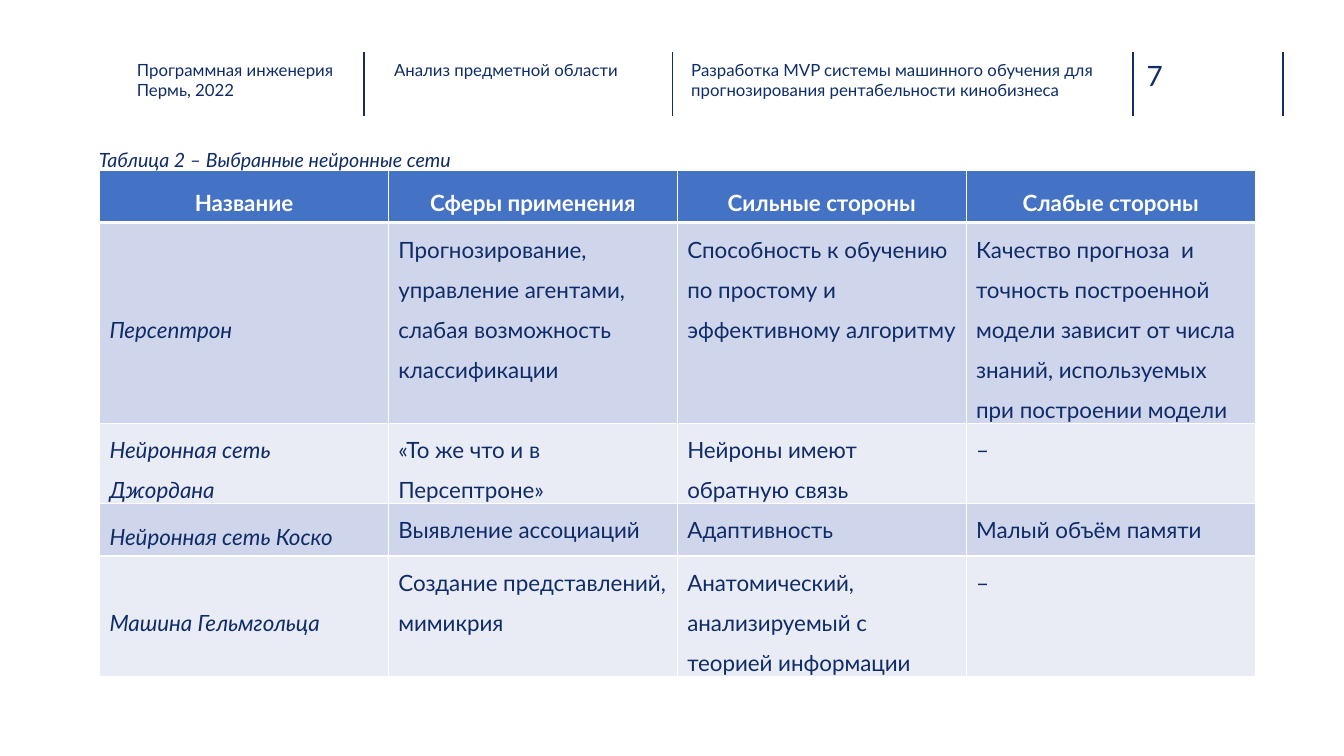
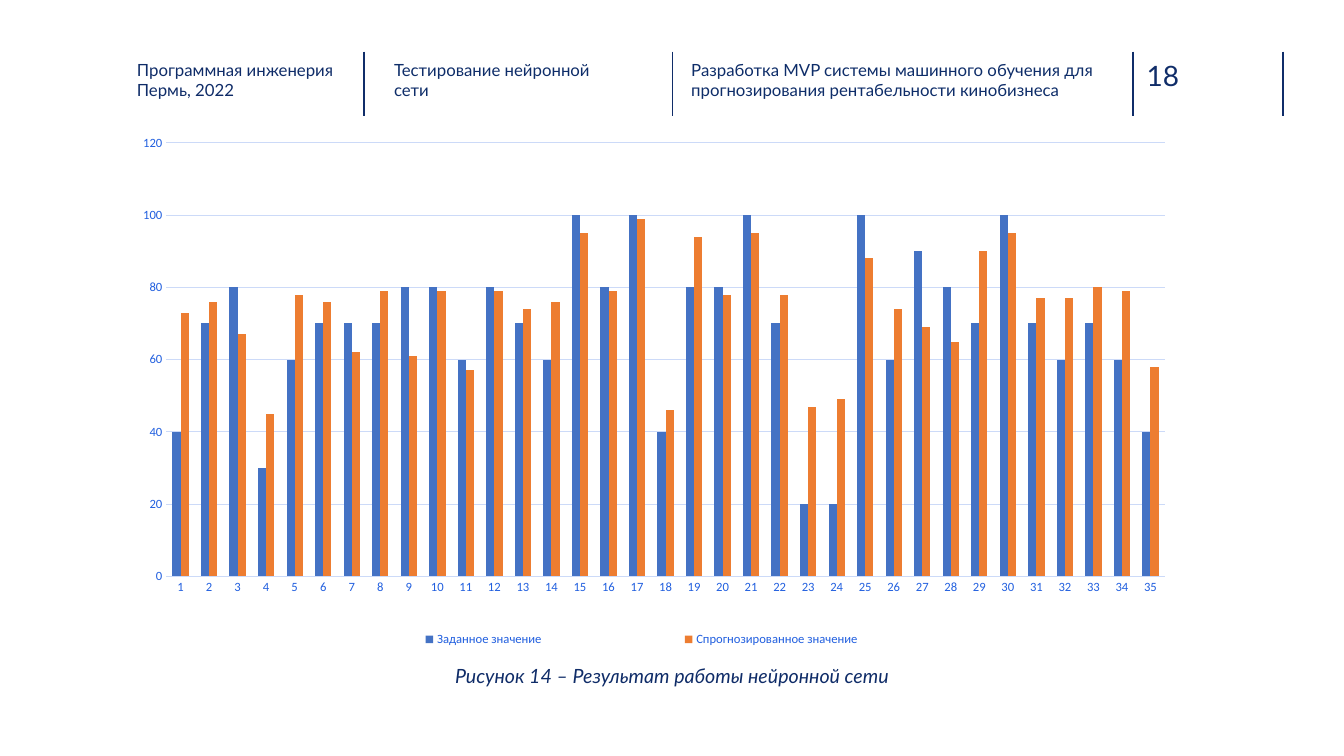
from dataclasses import dataclass

from lxml import etree
from pptx import Presentation
from pptx import util as u
from pptx.chart.data import CategoryChartData
from pptx.dml.color import RGBColor
from pptx.enum import chart as ch
from pptx.enum import shapes, text
from pptx.oxml import ns

Cm, Pt = u.Cm, u.Pt


@dataclass(frozen=True)
class Theme:
    ink: str = "0F2C68"
    heading: str = "0E2D69"
    rule: str = "102D69"
    white: str = "FFFFFF"
    table_head: str = "4472C4"
    bands: tuple = ("CFD5EA", "E9EBF5")
    series: tuple = ("4472C4", "ED7D31")
    axis: str = "215FDF"
    grid: str = "CCDAF8"
    font: str = "Lato"
    chart_font: str = "Calibri"
    header_size: int = 12
    number_size: int = 20
    caption_size: int = 14
    table_size: int = 16
    axis_size: int = 9


PROGRAMME = ["Программная инженерия", "Пермь, 2022"]
PROJECT = ["Разработка MVP системы машинного обучения для "
           "прогнозирования рентабельности кинобизнеса"]
HEADER_RULES = (9.17, 16.94, 28.55, 32.33)


def box(left, top, width, height):
    return Cm(left), Cm(top), Cm(width), Cm(height)


def set_layout(parent, index, x, y, w, h, inner=False):
    """Fix the place of a chart part as fractions of the chart."""
    for old in parent.findall(ns.qn("c:layout")):
        parent.remove(old)
    layout = etree.Element(ns.qn("c:layout"))
    manual = etree.SubElement(layout, ns.qn("c:manualLayout"))
    entries = [("layoutTarget", "inner")] if inner else []
    entries += [("xMode", "edge"), ("yMode", "edge"),
                ("x", x), ("y", y), ("w", w), ("h", h)]
    for tag, value in entries:
        etree.SubElement(manual, ns.qn(f"c:{tag}")).set("val", str(value))
    parent.insert(index, layout)


class Deck:
    """Holds the style and the current slide."""

    def __init__(self, theme):
        self.theme = theme
        self.prs = Presentation()
        self.prs.slide_width, self.prs.slide_height = Cm(33.87), Cm(19.05)
        self.slide = None

    # Text
    def style(self, font, size, color, name=None):
        font.name = name or self.theme.font
        font.size = Pt(size)
        font.color.rgb = RGBColor.from_string(color)

    def add_run(self, paragraph, words, size, color, bold=False, italic=False):
        run = paragraph.add_run()
        run.text = words
        self.style(run.font, size, color)
        run.font.bold, run.font.italic = bold, italic

    def frame(self, shape, margins=True):
        frame = shape.text_frame
        frame.word_wrap = True
        frame.auto_size = text.MSO_AUTO_SIZE.NONE
        frame.vertical_anchor = text.MSO_ANCHOR.TOP
        if not margins:
            frame.margin_left = frame.margin_right = 0
            frame.margin_top = frame.margin_bottom = 0
        return frame

    # Header band
    def header_text(self, index, place, lines, color):
        holder = self.slide.placeholders[index]
        holder.left, holder.top, holder.width, holder.height = box(*place)
        frame = self.frame(holder, margins=False)
        for i, line in enumerate(lines):
            paragraph = frame.add_paragraph() if i else frame.paragraphs[0]
            props = paragraph._p.get_or_add_pPr()
            props.set("marL", "0")
            props.set("indent", "0")
            etree.SubElement(props, ns.qn("a:buNone"))
            paragraph.alignment = text.PP_ALIGN.LEFT
            paragraph.space_before = Pt(0)
            self.add_run(paragraph, line, self.theme.header_size, color)

    def header_rule(self, x):
        rule = self.slide.shapes.add_connector(
            shapes.MSO_CONNECTOR.STRAIGHT, Cm(x), Cm(1.3), Cm(x), Cm(2.92))
        rule.line.color.rgb = RGBColor.from_string(self.theme.rule)
        rule.line.width = Pt(1)
        etree.SubElement(rule._element.spPr, ns.qn("a:effectLst"))

    def new_slide(self, section, number):
        t = self.theme
        two_content = self.prs.slide_layouts[3]
        self.slide = self.prs.slides.add_slide(two_content)
        for x in HEADER_RULES:
            self.header_rule(x)
        self.header_text(0, (9.93, 1.5, 5.74, 1.14), [section], t.heading)
        self.header_text(1, (3.45, 1.5, 5.1, 1.14), PROGRAMME, t.ink)
        self.header_text(2, (17.42, 1.5, 10.62, 1.14), PROJECT, t.heading)
        page = self.slide.shapes.add_textbox(*box(28.9, 1.47, 1.85, 0.86))
        self.add_run(self.frame(page, margins=False).paragraphs[0],
                     number, t.number_size, t.rule)

    def caption(self, place, words, align=text.PP_ALIGN.LEFT):
        label = self.slide.shapes.add_textbox(*box(*place))
        paragraph = self.frame(label).paragraphs[0]
        paragraph.alignment = align
        self.add_run(paragraph, words, self.theme.caption_size,
                     self.theme.ink, italic=True)

    # Table
    def cell_borders(self, cell, bottom):
        props = cell._tc.get_or_add_tcPr()
        for i, (side, width) in enumerate(
                (("lnL", 1), ("lnR", 1), ("lnT", 1), ("lnB", bottom))):
            line = etree.Element(ns.qn(f"a:{side}"), w=str(Pt(width)))
            fill = etree.SubElement(line, ns.qn("a:solidFill"))
            etree.SubElement(fill, ns.qn("a:srgbClr"), val=self.theme.white)
            props.insert(i, line)

    def cell(self, cell, words, row, column):
        t = self.theme
        head, label = row == 0, row == 0 or column == 0
        cell.margin_left = cell.margin_right = Cm(0.25)
        cell.margin_top = cell.margin_bottom = 0
        cell.vertical_anchor = (text.MSO_ANCHOR.MIDDLE if label
                                else text.MSO_ANCHOR.TOP)
        cell.fill.solid()
        cell.fill.fore_color.rgb = RGBColor.from_string(
            t.table_head if head else t.bands[(row - 1) % 2])
        self.cell_borders(cell, bottom=3 if head else 1)
        paragraph = cell.text_frame.paragraphs[0]
        paragraph.line_spacing = 1.5
        if label:
            paragraph.space_before, paragraph.space_after = Pt(4), Pt(2)
        if head:
            paragraph.alignment = text.PP_ALIGN.CENTER
        self.add_run(paragraph, words, t.table_size,
                     t.white if head else t.ink,
                     bold=head, italic=label and not head)

    def table(self, left, top, column_width, heights, rows):
        count = len(rows[0])
        table = self.slide.shapes.add_table(
            len(rows), count,
            *box(left, top, column_width * count, sum(heights))).table
        for column in table.columns:
            column.width = Cm(column_width)
        for r, (height, row) in enumerate(zip(heights, rows)):
            table.rows[r].height = Cm(height)
            for c, words in enumerate(row):
                self.cell(table.cell(r, c), words, r, c)

    # Chart
    def column_chart(self, place, series):
        t = self.theme
        data = CategoryChartData()
        longest = max(len(values) for values in series.values())
        data.categories = [str(n + 1) for n in range(longest)]
        for name, values in series.items():
            data.add_series(name, values)
        chart = self.slide.shapes.add_chart(
            ch.XL_CHART_TYPE.COLUMN_CLUSTERED, *box(*place), data).chart
        chart.has_title = False
        self.style(chart.font, 10, t.ink, t.chart_font)

        plot = chart.plots[0]
        plot.vary_by_categories = False
        plot.gap_width, plot.overlap = 150, 0
        for bars, color in zip(plot.series, t.series):
            bars.format.fill.solid()
            bars.format.fill.fore_color.rgb = RGBColor.from_string(color)

        for axis in (chart.category_axis, chart.value_axis):
            axis.major_tick_mark = ch.XL_TICK_MARK.NONE
            axis.minor_tick_mark = ch.XL_TICK_MARK.NONE
            axis.format.line.fill.background()
            self.style(axis.tick_labels.font, t.axis_size, t.axis, t.chart_font)
        scale = chart.value_axis
        scale.minimum_scale, scale.maximum_scale, scale.major_unit = 0, 120, 20
        scale.has_major_gridlines = True
        grid = scale.major_gridlines.format.line
        grid.color.rgb = RGBColor.from_string(t.grid)
        grid.width = Pt(0.75)

        chart.has_legend = True
        legend = chart.legend
        legend.position = ch.XL_LEGEND_POSITION.BOTTOM
        legend.include_in_layout = False
        self.style(legend.font, t.axis_size, t.axis, t.chart_font)
        set_layout(legend._element, 1, 0.17, 0.92, 0.65, 0.07)
        set_layout(chart._chartSpace.chart.plotArea, 0,
                   0.06, 0.015, 0.914, 0.821, inner=True)


NETWORKS = [
    ["Название", "Сферы применения", "Сильные стороны", "Слабые стороны"],
    ["Персептрон",
     "Прогнозирование, управление агентами, слабая возможность классификации",
     "Способность к обучению по простому и эффективному алгоритму",
     "Качество прогноза  и точность построенной модели зависит от числа "
     "знаний, используемых при построении модели"],
    ["Нейронная сеть Джордана", "«То же что и в Персептроне»",
     "Нейроны имеют обратную связь", "–"],
    ["Нейронная сеть Коско", "Выявление ассоциаций", "Адаптивность",
     "Малый объём памяти"],
    ["Машина Гельмгольца", "Создание представлений, мимикрия",
     "Анатомический, анализируемый с теорией информации", "–"],
]

TEST_RESULTS = {
    "Заданное значение": [
        40, 70, 80, 30, 60, 70, 70, 70, 80, 80, 60, 80, 70, 60, 100, 80, 100, 40,
        80, 80, 100, 70, 20, 20, 100, 60, 90, 80, 70, 100, 70, 60, 70, 60, 40],
    "Спрогнозированное значение": [
        73, 76, 67, 45, 78, 76, 62, 79, 61, 79, 57, 79, 74, 76, 95, 79, 99, 46,
        94, 78, 95, 78, 47, 49, 88, 74, 69, 65, 90, 95, 77, 77, 80, 79, 58],
}


def main():
    deck = Deck(Theme())

    # Chosen networks
    deck.new_slide("Анализ предметной области", "7")
    deck.table(2.51, 4.29, 7.28, (1.32, 4.98, 1.98, 1.32, 3), NETWORKS)
    deck.caption((2.24, 3.61, 12.07, 0.86),
                 "Таблица 2 – Выбранные нейронные сети")

    # Test results
    deck.new_slide("Тестирование нейронной сети", "18")
    deck.column_chart((2.54, 3.4, 27.53, 13.31), TEST_RESULTS)
    deck.caption((10.31, 16.61, 13.26, 0.86),
                 "Рисунок 14 – Результат работы нейронной сети",
                 text.PP_ALIGN.CENTER)

    deck.prs.save("out.pptx")


if __name__ == "__main__":
    main()
